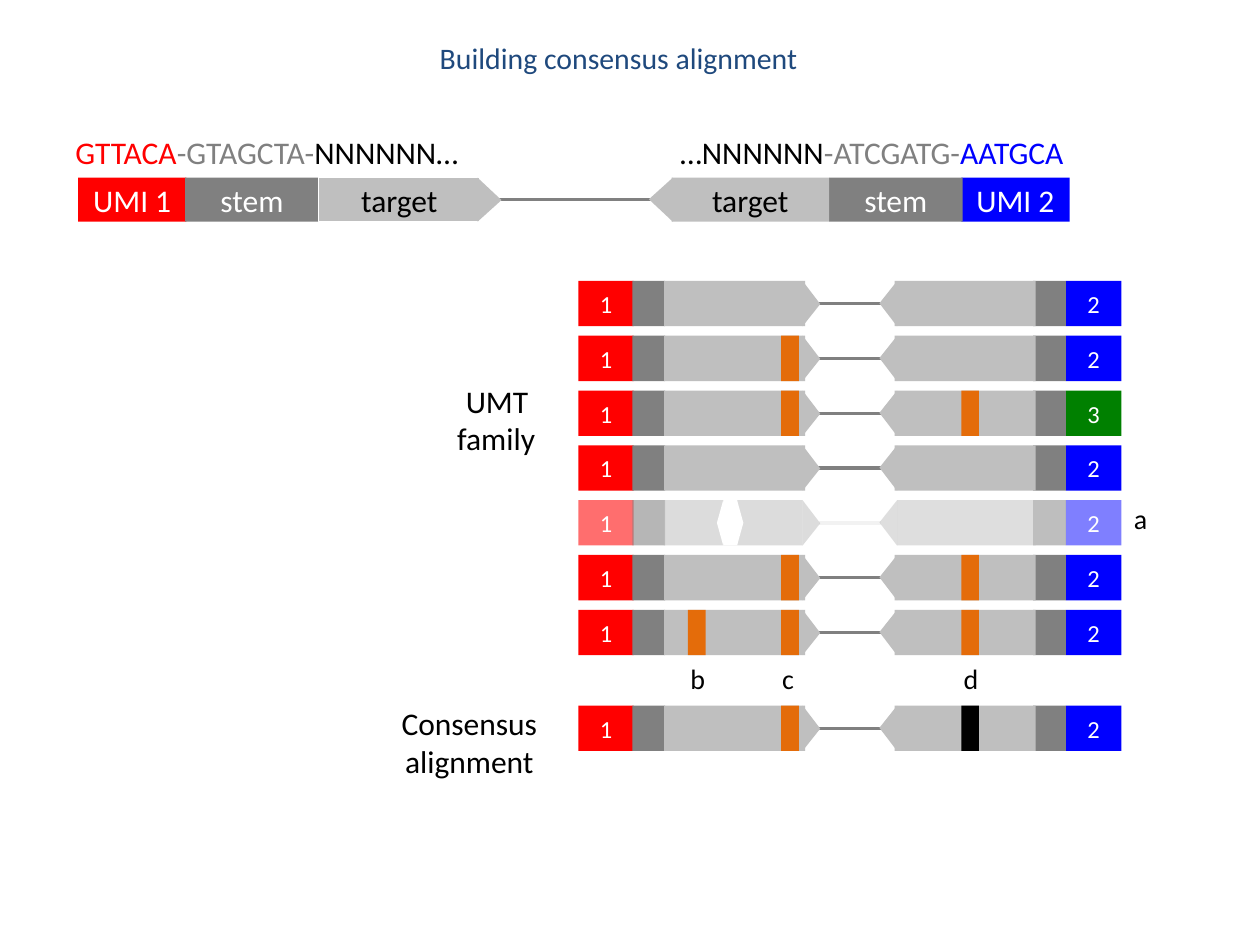
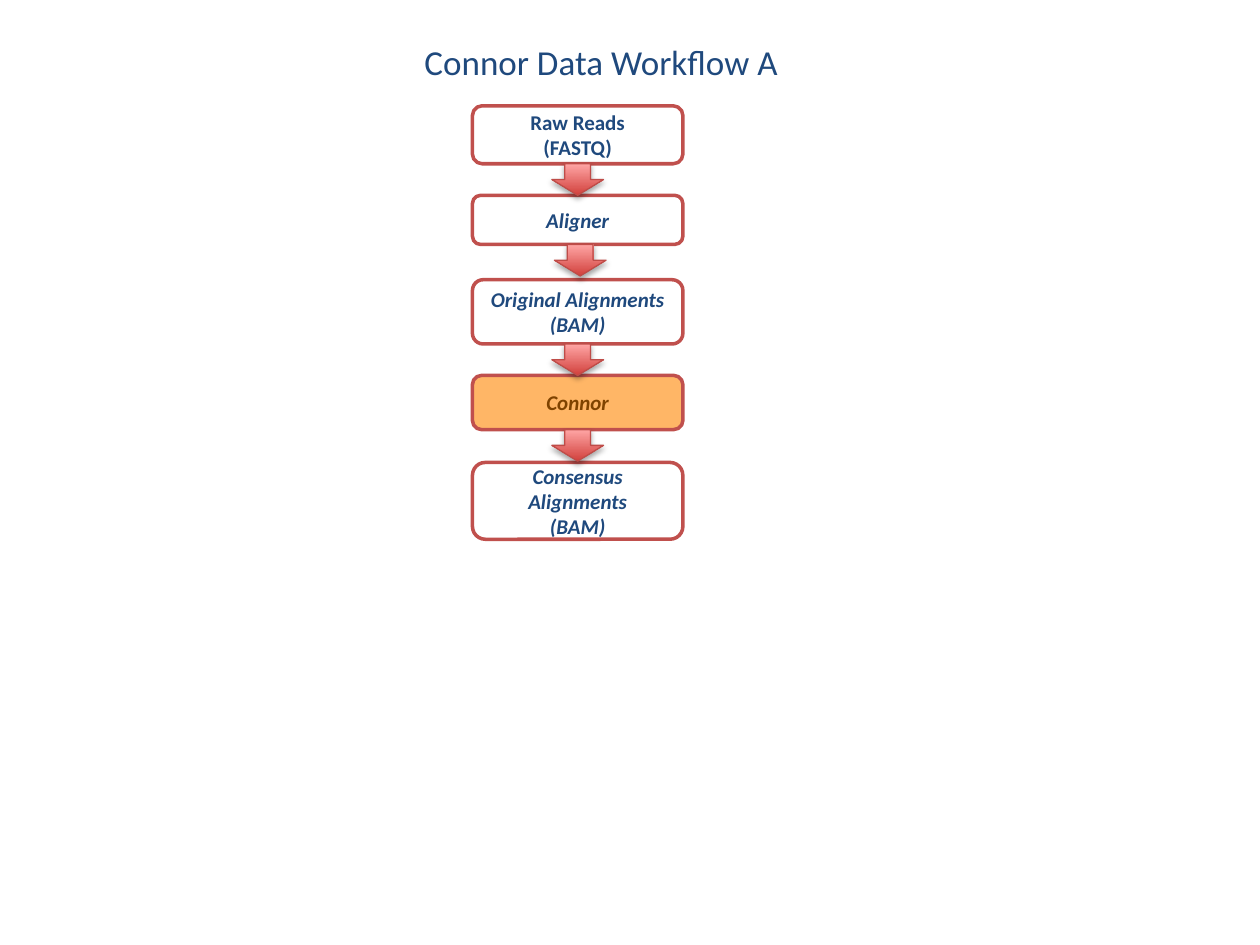
from dataclasses import dataclass

from lxml import etree
from pptx import Presentation
from pptx.dml.color import RGBColor
from pptx.enum.shapes import MSO_CONNECTOR, MSO_SHAPE as SHAPE
from pptx.enum.text import MSO_ANCHOR, PP_ALIGN as ALIGN
from pptx.oxml.ns import qn
from pptx.util import Inches, Pt


@dataclass(frozen=True)
class Theme:
    font: str = "Calibri"
    navy: str = "1F497D"
    red: str = "FF0000"
    blue: str = "0000FF"
    green: str = "008000"
    stem: str = "808080"
    target: str = "BFBFBF"
    orange: str = "E46C0A"
    white: str = "FFFFFF"
    black: str = "000000"
    faint: str = "F2F2F2"
    border: str = "C0504D"
    highlight: str = "FFB666"
    brown: str = "7F4300"
    arrow_dark: str = "D1403C"
    arrow_light: str = "FFA6A5"
    arrow_line: str = "BF4C48"
    heading: int = 18
    label: int = 16
    umi: int = 14
    step: int = 12


T = Theme()

# Slide 1. Each part of a read: left, width, fill, text colour
TITLE_BOX = (3.27, 0.27, 3.28, 0.58)
HEADER = {
    "height": 0.35, "size": T.heading, "tip_depth": 0.19, "tips": (3.885, 5.245),
    "left": [(0.62, 0.86, T.red, T.white), (1.47, 1.06, T.stem, T.white),
             (2.53, 1.28, T.target, T.black)],
    "right": [(7.63, 0.86, T.blue, T.white), (6.58, 1.06, T.stem, T.white),
              (5.33, 1.25, T.target, T.black)],
}
READ = {
    "height": 0.36, "size": T.umi, "tip_depth": 0.14, "tips": (6.44, 7.05),
    "left": [(4.59, 0.44, T.red, T.white), (5.02, 0.26, T.stem, T.white),
             (5.27, 1.12, T.target, T.black)],
    "right": [(8.46, 0.44, T.blue, T.white), (8.2, 0.26, T.stem, T.white),
              (7.1, 1.12, T.target, T.black)],
}
FADED = READ | {
    "left": READ["left"][:2] + [(5.27, 1.1, T.target, T.black)],
    "right": READ["right"][:2] + [(7.12, 1.1, T.target, T.black)],
    "alpha": {"left": (57, 57, 54), "right": (50, 51, 50)},
}
HEADER_TOP, FAMILY_TOP, FAMILY_PITCH, CONSENSUS_TOP = 1.41, 2.23, 0.435, 5.6
SEQUENCES = [
    (0.5, 3.35, [("GTTACA", T.red), ("-GTAGCTA-", T.stem), ("NNNNNN…", T.black)]),
    (5.3, 3.37, [("…NNNNNN", T.black), ("-ATCGATG-", T.stem), ("AATGCA", T.blue)]),
]
MARK_LEFT, MARK_WIDTH = {"b": 5.46, "c": 6.2, "d": 7.63}, 0.14
FAMILY = ["", "c", "cd", "", "faded", "cd", "bcd"]
GREEN_ROW, FADED_ROW = 2, 4
LETTERS = [("a", 8.9, 3.93), ("b", 5.38, 5.2), ("c", 6.11, 5.2), ("d", 7.55, 5.2)]
CAPTIONS = [
    ((3.53, 2.98, 0.83, 0.71), ["UMT", "family"], [ALIGN.CENTER, ALIGN.LEFT]),
    ((3.08, 5.54, 1.29, 0.71), ["Consensus", "alignment"], [ALIGN.CENTER] * 2),
]

# Slide 2. Each step: top, height, lines, fill, text colour, italic
STEP_LEFT, STEP_WIDTH = 3.75, 1.67
STEPS = [
    (0.84, 0.46, ["Raw Reads", "(FASTQ)"], T.white, T.navy, False),
    (1.55, 0.39, ["Aligner"], T.white, T.navy, True),
    (2.22, 0.51, ["Original Alignments (BAM)"], T.white, T.navy, True),
    (2.98, 0.43, ["Connor"], T.highlight, T.brown, True),
    (3.67, 0.61, ["Consensus Alignments", "(BAM)"], T.white, T.navy, True),
]
ARROW_WIDTH, ARROW_HEIGHT = 0.41, 0.25
ARROW_SHIFT = [0, 0.02, 0, 0]


def rgb(code):
    return RGBColor.from_string(code)


def write(shape, lines, size, color, aligns=None, **font):
    """Fill a shape with lines; a line is a string or a list of (text, colour)."""
    frame = shape.text_frame
    for index, line in enumerate(lines):
        para = frame.paragraphs[0] if index == 0 else frame.add_paragraph()
        para.alignment = aligns[index] if aligns else ALIGN.CENTER
        for text, tint in [(line, color)] if isinstance(line, str) else line:
            span = para.add_run()
            span.text = text
            span.font.color.rgb = rgb(tint)
            for name, value in {"name": T.font, "size": Pt(size), **font}.items():
                setattr(span.font, name, value)


def add_text(page, box, lines, size, color=T.black, aligns=None, wrap=False):
    shape = page.shapes.add_textbox(*map(Inches, box))
    shape.text_frame.word_wrap = wrap
    write(shape, lines, size, color, aligns)


def add_block(page, kind, box, fill, line=None, width=0.75, alpha=None):
    shape = page.shapes.add_shape(kind, *map(Inches, box))
    shape.shadow.inherit = False
    shape.text_frame.vertical_anchor = MSO_ANCHOR.MIDDLE
    if fill:
        shape.fill.solid()
        shape.fill.fore_color.rgb = rgb(fill)
    if alpha:
        color = shape.fill._xPr.find(qn("a:solidFill"))[0]
        etree.SubElement(color, qn("a:alpha"), val=str(alpha * 1000))
    if line:
        shape.line.color.rgb = rgb(line)
        shape.line.width = Pt(width)
    else:
        shape.line.fill.background()
    return shape


def add_line(page, start, end, color):
    line = page.shapes.add_connector(MSO_CONNECTOR.STRAIGHT, *map(Inches, start + end))
    line.line.color.rgb = rgb(color)
    line.line.width = Pt(2)
    etree.SubElement(line._element.spPr, qn("a:effectLst"))
    return line


def add_read(page, top, layout, texts, right_umi=None):
    """Draw a pair of reads facing each other, joined by a line."""
    height, depth = layout["height"], layout["tip_depth"]
    middle = top + height / 2
    faded = "alpha" in layout
    if faded:
        add_line(page, (6.5, middle), (6.99, middle), T.faint)
    else:
        joint = add_line(page, (layout["tips"][0], middle), (layout["tips"][1], middle), T.stem)
    targets = []
    for side, tip, turn in zip(("left", "right"), layout["tips"], (90, 270)):
        alphas = layout["alpha"][side] if faded else (None,) * 3
        for index, (left, width, fill, ink) in enumerate(layout[side]):
            if side == "right" and index == 0 and right_umi:
                fill = right_umi
            outline = T.white if layout is HEADER and (side, index) == ("left", 2) else None
            block = add_block(page, SHAPE.RECTANGLE, (left, top, width, height), fill,
                              outline, alpha=alphas[index])
            if texts[side][index]:
                write(block, [texts[side][index]], layout["size"], ink)
        targets.append(block)
        point = add_block(page, SHAPE.ISOSCELES_TRIANGLE,
                          (tip - height / 2, middle - depth / 2, height, depth),
                          T.target, alpha=alphas[2])
        point.adjustments[0] = 0.51
        point.rotation = turn
    if not faded:
        joint.begin_connect(targets[0], 3)
        joint.end_connect(targets[1], 1)


def add_marks(page, top, marks):
    for mark, color in marks:
        add_block(page, SHAPE.RECTANGLE,
                  (MARK_LEFT[mark], top, MARK_WIDTH, READ["height"]), color)


def numbered(right):
    return {"left": ("1", "", ""), "right": (right, "", "")}


def build_alignment(page):
    add_text(page, TITLE_BOX, ["Building consensus alignment"], 17, T.navy, wrap=True)
    for left, width, spans in SEQUENCES:
        add_text(page, (left, 1.01, width, 0.4), [spans], T.heading, aligns=[ALIGN.LEFT])
    add_read(page, HEADER_TOP, HEADER, {"left": ("UMI 1", "stem", "target"),
                                        "right": ("UMI 2", "stem", "target")})
    for row, marks in enumerate(FAMILY):
        top = FAMILY_TOP + row * FAMILY_PITCH
        if row == FADED_ROW:
            add_read(page, top, FADED, numbered("2"))
            for kind, left, width in [(SHAPE.RECTANGLE, 5.74, 0.11),
                                      (SHAPE.DIAMOND, 5.69, 0.1), (SHAPE.DIAMOND, 5.8, 0.1)]:
                add_block(page, kind, (left, top, width, READ["height"]), T.white)
            continue
        odd = row == GREEN_ROW
        add_read(page, top, READ, numbered("3" if odd else "2"), T.green if odd else None)
        add_marks(page, top, [(mark, T.orange) for mark in marks])
    add_read(page, CONSENSUS_TOP, READ, numbered("2"))
    add_marks(page, CONSENSUS_TOP, [("c", T.orange), ("d", T.black)])
    for box, lines, aligns in CAPTIONS:
        add_text(page, box, lines, T.heading, aligns=aligns)
    for letter, left, top in LETTERS:
        add_text(page, (left, top, 0.32, 0.64), [letter], T.label, aligns=[ALIGN.LEFT])


def add_flow_arrow(page, left, top):
    arrow = add_block(page, SHAPE.DOWN_ARROW, (left, top, ARROW_WIDTH, ARROW_HEIGHT),
                      None, T.arrow_line)
    arrow.fill.gradient()
    arrow.fill.gradient_angle = 90
    for stop, color in zip(arrow.fill.gradient_stops, (T.arrow_dark, T.arrow_light)):
        stop.color.rgb = rgb(color)
    effects = arrow._element.spPr.find(qn("a:effectLst"))
    shadow = etree.SubElement(effects, qn("a:outerShdw"), blurRad=str(Pt(3.1)),
                              dist=str(Pt(1.8)), dir="5400000", rotWithShape="0")
    color = etree.SubElement(shadow, qn("a:srgbClr"), val=T.black)
    etree.SubElement(color, qn("a:alpha"), val="35000")


def build_workflow(page):
    add_text(page, TITLE_BOX, ["Connor Data Workflow A"], 20, T.navy, [ALIGN.LEFT], wrap=True)
    for top, height, lines, fill, ink, italic in STEPS:
        step = add_block(page, SHAPE.ROUNDED_RECTANGLE, (STEP_LEFT, top, STEP_WIDTH, height),
                         fill, T.border, 2)
        write(step, lines, T.step, ink, bold=True, italic=italic)
    for (top, height, *_), shift in zip(STEPS, ARROW_SHIFT):
        add_flow_arrow(page, STEP_LEFT + (STEP_WIDTH - ARROW_WIDTH) / 2 + shift, top + height)


def main():
    deck = Presentation()
    deck.slide_width, deck.slide_height = Inches(10), Inches(7.5)
    for build in (build_alignment, build_workflow):
        build(deck.slides.add_slide(deck.slide_layouts[6]))
    deck.save("out.pptx")


if __name__ == "__main__":
    main()
